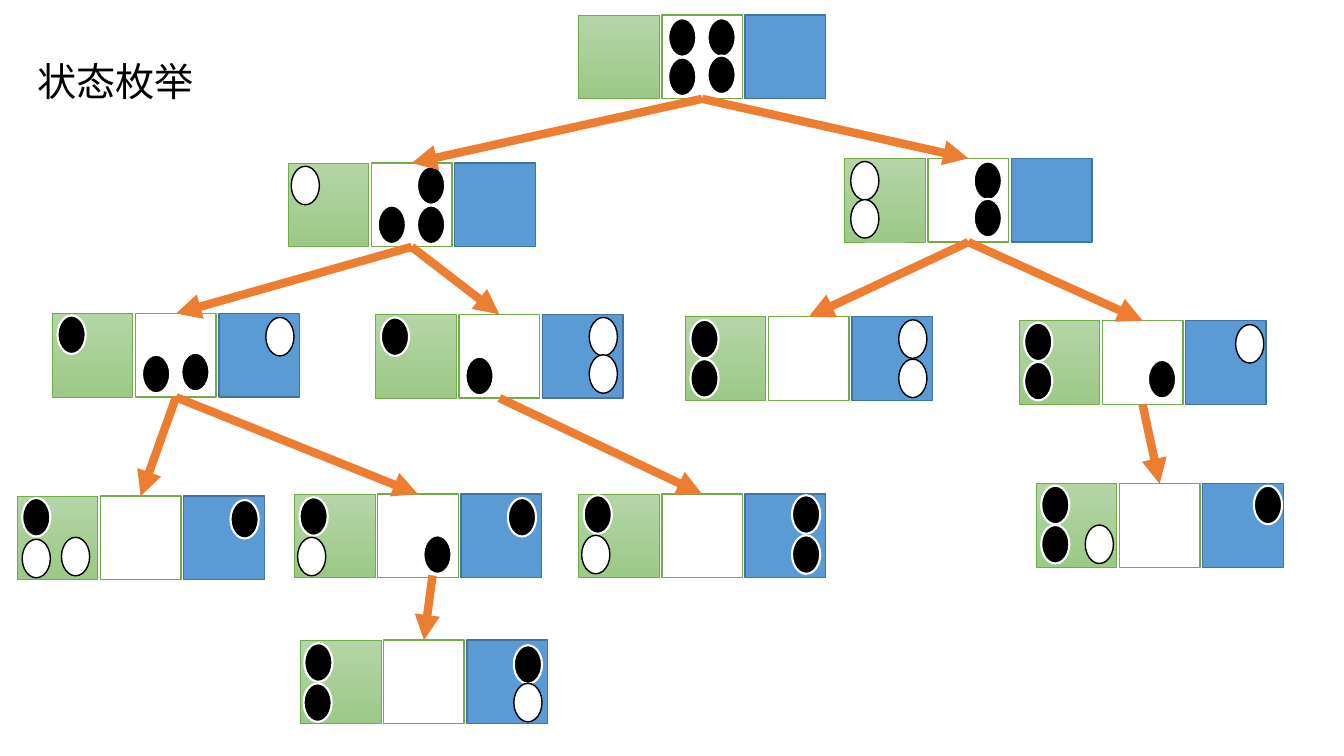
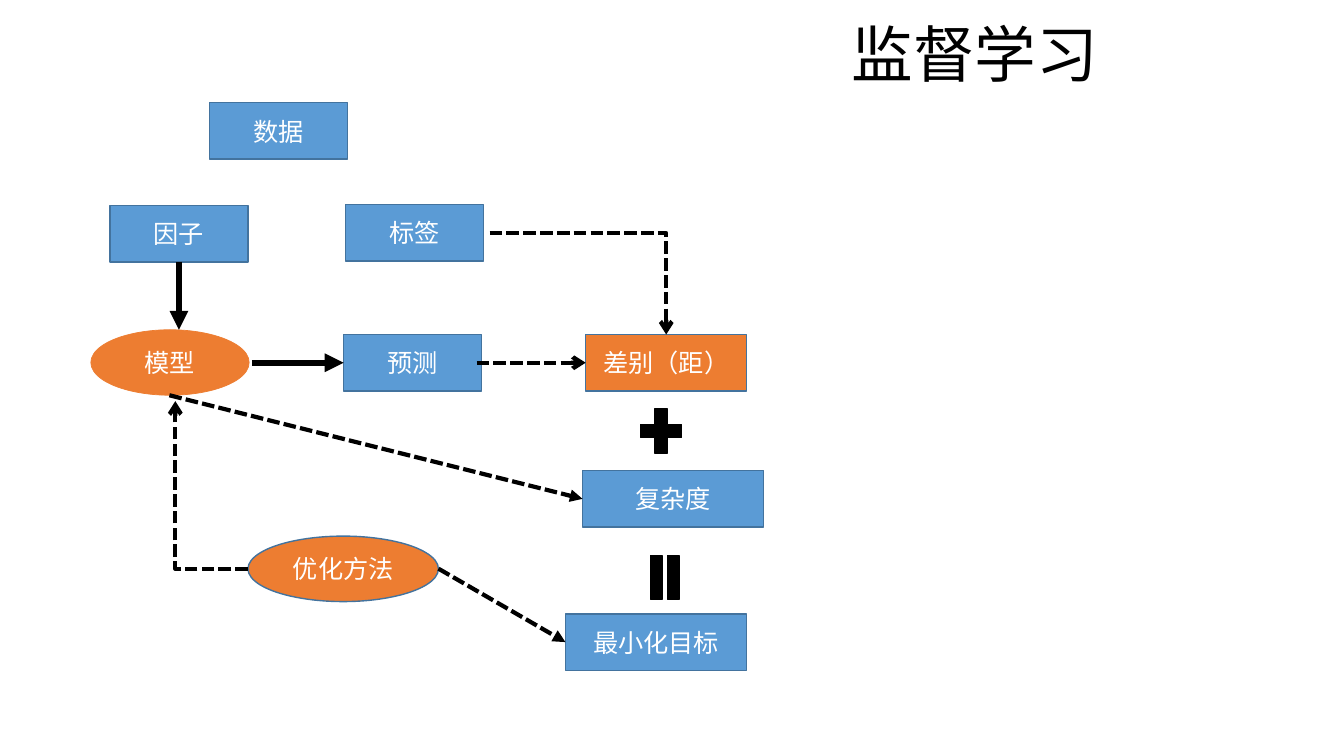
from dataclasses import dataclass

from lxml.etree import SubElement
from pptx import Presentation
from pptx.dml.color import RGBColor
from pptx.enum.dml import MSO_LINE
from pptx.enum.shapes import MSO_CONNECTOR as Connector, MSO_SHAPE as Shape
from pptx.enum.text import MSO_ANCHOR, PP_ALIGN
from pptx.oxml.ns import qn
from pptx.util import Cm, Pt


@dataclass(frozen=True)
class Theme:
    black: RGBColor = RGBColor(0x00, 0x00, 0x00)
    white: RGBColor = RGBColor(0xFF, 0xFF, 0xFF)
    blue: RGBColor = RGBColor(0x5B, 0x9B, 0xD5)
    dark_blue: RGBColor = RGBColor(0x43, 0x73, 0x9E)
    orange: RGBColor = RGBColor(0xED, 0x7D, 0x31)
    green: RGBColor = RGBColor(0x70, 0xAD, 0x47)
    pale_green: RGBColor = RGBColor(0xB5, 0xD5, 0xA7)
    soft_green: RGBColor = RGBColor(0x9C, 0xC9, 0x87)
    font: str = "Calibri"
    label_size: int = 18


theme = Theme()
TOP, LEFT, BOTTOM = 0, 1, 2


def add_block(slide, kind, box, fill, line, line_width=1, text=""):
    """Add a preset shape; box is left, top, width, height in cm, and a pair of fills is a gradient."""
    shape = slide.shapes.add_shape(kind, *map(Cm, box))
    shape.shadow.inherit = False
    if isinstance(fill, list):
        shape.fill.gradient()
        shape.fill.gradient_angle = 270
        for stop, color in zip(shape.fill.gradient_stops, fill):
            stop.color.rgb = color
    else:
        shape.fill.solid()
        shape.fill.fore_color.rgb = fill
    shape.line.color.rgb = line
    shape.line.width = Pt(line_width)
    if text:
        shape.text_frame.text = text
        shape.text_frame.vertical_anchor = MSO_ANCHOR.MIDDLE
        paragraph = shape.text_frame.paragraphs[0]
        paragraph.alignment = PP_ALIGN.CENTER
        font = paragraph.runs[0].font
        font.name, font.size = theme.font, Pt(theme.label_size)
        font.color.rgb = theme.white
    return shape


def add_arrow(slide, color, width, start=(0, 0), end=(0, 0), head="triangle",
              dashed=False, elbow=False):
    """Add an arrow between two points in cm; an elbow runs across first, then up or down."""
    kind = Connector.ELBOW if elbow else Connector.STRAIGHT
    arrow = slide.shapes.add_connector(kind, *map(Cm, start + end))
    arrow.line.color.rgb = color
    arrow.line.width = Pt(width)
    if dashed:
        arrow.line.dash_style = MSO_LINE.SQUARE_DOT
    properties = arrow.element.spPr
    if elbow:
        properties.find(qn("a:prstGeom")).set("prst", "bentConnector2")
    SubElement(properties.find(qn("a:ln")), qn("a:tailEnd"), type=head)
    SubElement(properties, qn("a:effectLst"))
    return arrow


presentation = Presentation()
presentation.slide_width, presentation.slide_height = Cm(33.87), Cm(19.05)

slides = []
for text, size, box in [
    ("状态枚举", 28, (0.69, 0.28, 10.06, 3.68)),
    ("监督学习", 44, (21.21, 0, 11.07, 2.92)),
]:
    slide = presentation.slides.add_slide(presentation.slide_layouts[5])
    title = slide.shapes.title
    title.left, title.top, title.width, title.height = map(Cm, box)
    title.text_frame.text = text
    title.text_frame.vertical_anchor = MSO_ANCHOR.MIDDLE
    paragraph = title.text_frame.paragraphs[0]
    paragraph.alignment = PP_ALIGN.LEFT
    paragraph.line_spacing = 0.9
    font = paragraph.runs[0].font
    font.name, font.size = theme.font, Pt(size)
    font.color.rgb = theme.black
    slides.append(slide)
tree_slide, learning_slide = slides

# State tree: left and top of each board, then offsets of its black and white pieces
CELL_WIDTH, CELL_HEIGHT, CELL_PITCH = 2.03, 2.11, 2.1
PIECE_WIDTH, PIECE_HEIGHT = 0.71, 0.97
states = {
    "root": (14.58, 0.38, [(2.26, 0.08), (3.25, 0.08), (2.26, 1.07), (3.25, 1.02)], []),
    "one moved": (7.26, 4.11, [(3.25, 0.08), (2.26, 1.07), (3.25, 1.07)], [(0.08, 0.08)]),
    "two moved": (21.29, 3.99, [(3.25, 0.08), (3.25, 1.02)], [(0.15, 0.08), (0.15, 1.04)]),
    "one and one": (1.32, 7.9, [(0.13, 0.05), (2.26, 1.04), (3.25, 0.99)], [(5.38, 0.1)]),
    "one and two": (9.47, 7.92, [(0.13, 0.08), (2.26, 1.07)], [(5.38, 0.08), (5.38, 1.02)]),
    "two and two": (17.27, 7.98, [(0.13, 0.08), (0.13, 1.07)], [(5.38, 0.08), (5.38, 1.07)]),
    "two and one": (25.68, 8.08, [(0.13, 0.05), (0.13, 1.04), (3.25, 0.99)], [(5.46, 0.1)]),
    "left full": (0.43, 12.5, [(0.13, 0.05), (5.38, 0.1)], [(0.13, 1.09), (1.12, 1.04)]),
    "left second": (7.42, 12.45, [(0.13, 0.08), (5.38, 0.1), (3.25, 1.04)], [(0.08, 1.09)]),
    "left after two": (14.58, 12.45, [(0.13, 0.03), (5.38, 0.03), (5.38, 1.04)], [(0.08, 1.04)]),
    "left third": (26.11, 12.19, [(0.13, 0.05), (5.49, 0.05), (0.13, 1.04)], [(1.24, 1.04)]),
    "right last": (7.57, 16.13, [(0.1, 0.08), (5.38, 0.13), (0.08, 1.09)], [(5.38, 1.09)]),
}
cell_styles = [
    ([theme.pale_green, theme.soft_green], theme.green, 0.5),
    (theme.white, theme.green, 1),
    (theme.blue, theme.dark_blue, 1),
]
middle_cells = {}
for name, (left, top, black_pieces, white_pieces) in states.items():
    cells = [
        add_block(tree_slide, Shape.RECTANGLE,
                  (left + column * CELL_PITCH, top, CELL_WIDTH, CELL_HEIGHT), *style)
        for column, style in enumerate(cell_styles)
    ]
    middle_cells[name] = cells[1]
    for offsets, fill, line, line_width in [
        (black_pieces, theme.black, theme.white, 1.5),
        (white_pieces, theme.white, theme.black, 1),
    ]:
        for across, down in offsets:
            add_block(tree_slide, Shape.OVAL,
                      (left + across, top + down, PIECE_WIDTH, PIECE_HEIGHT),
                      fill, line, line_width)

for parent, child in [
    ("root", "one moved"), ("root", "two moved"),
    ("one moved", "one and one"), ("one moved", "one and two"),
    ("two moved", "two and two"), ("two moved", "two and one"),
    ("two and one", "left third"), ("one and two", "left after two"),
    ("one and one", "left full"), ("one and one", "left second"),
]:
    arrow = add_arrow(tree_slide, theme.orange, 6)
    arrow.begin_connect(middle_cells[parent], BOTTOM)
    arrow.end_connect(middle_cells[child], TOP)
arrow = add_arrow(tree_slide, theme.orange, 6, start=(10.9, 14.5))
arrow.end_connect(middle_cells["right last"], TOP)

# Supervised learning
BOX_HEIGHT, OVAL_HEIGHT = 1.42, 1.65
boxes = {}
for text, left, top, width, fill in [
    ("数据", 5.28, 2.59, 3.48, theme.blue),
    ("因子", 2.77, 5.18, 3.48, theme.blue),
    ("标签", 8.71, 5.16, 3.48, theme.blue),
    ("预测", 8.66, 8.43, 3.48, theme.blue),
    ("差别（距）", 14.76, 8.43, 4.06, theme.orange),
    ("复杂度", 14.68, 11.86, 4.57, theme.blue),
    ("最小化目标", 14.25, 15.47, 4.57, theme.blue),
]:
    boxes[text] = add_block(learning_slide, Shape.RECTANGLE, (left, top, width, BOX_HEIGHT),
                            fill, theme.dark_blue, text=text)

add_block(learning_slide, Shape.OVAL, (2.29, 8.31, 3.99, OVAL_HEIGHT),
          theme.orange, theme.orange, 0.5, "模型")
optimizer = add_block(learning_slide, Shape.OVAL, (6.25, 13.51, 4.8, OVAL_HEIGHT),
                      theme.orange, theme.dark_blue, text="优化方法")
add_block(learning_slide, Shape.MATH_PLUS, (15.95, 10.11, 1.42, 1.5), theme.black, theme.black)
equals = add_block(learning_slide, Shape.MATH_EQUAL, (16, 13.94, 1.5, 1.22),
                   theme.black, theme.black)
equals.rotation = 90

arrow = add_arrow(learning_slide, theme.black, 4.5, end=(4.51, 8.31))
arrow.begin_connect(boxes["因子"], BOTTOM)
arrow = add_arrow(learning_slide, theme.black, 4.5, start=(6.35, 9.14))
arrow.end_connect(boxes["预测"], LEFT)
for start, target, head in [
    ((12.01, 9.14), "差别（距）", "arrow"),
    ((4.27, 9.96), "复杂度", "triangle"),
    ((11.05, 14.33), "最小化目标", "triangle"),
]:
    arrow = add_arrow(learning_slide, theme.black, 3, start, head=head, dashed=True)
    arrow.end_connect(boxes[target], LEFT)

arrow = add_arrow(learning_slide, theme.black, 3, (12.34, 5.87), (16.79, 8.43),
                  "arrow", dashed=True, elbow=True)
arrow.end_connect(boxes["差别（距）"], TOP)
arrow = add_arrow(learning_slide, theme.black, 3, (6.25, 14.33), (4.42, 10.11),
                  "arrow", dashed=True, elbow=True)
# Site 2 of an oval is its left end, so the start is put back there after joining
arrow.begin_connect(optimizer, 2)
arrow.begin_x, arrow.begin_y = Cm(6.25), Cm(14.33)

presentation.save("out.pptx")
